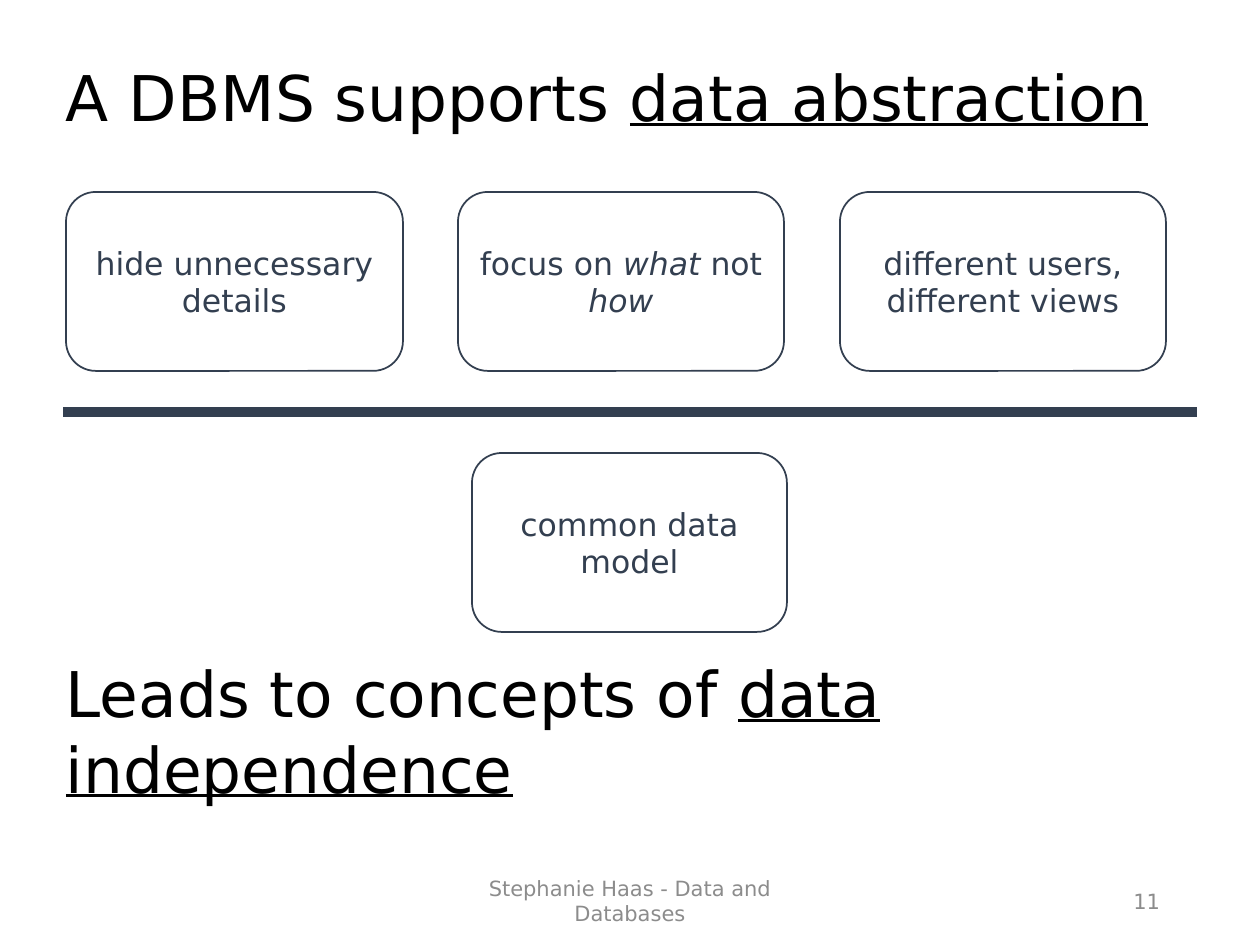
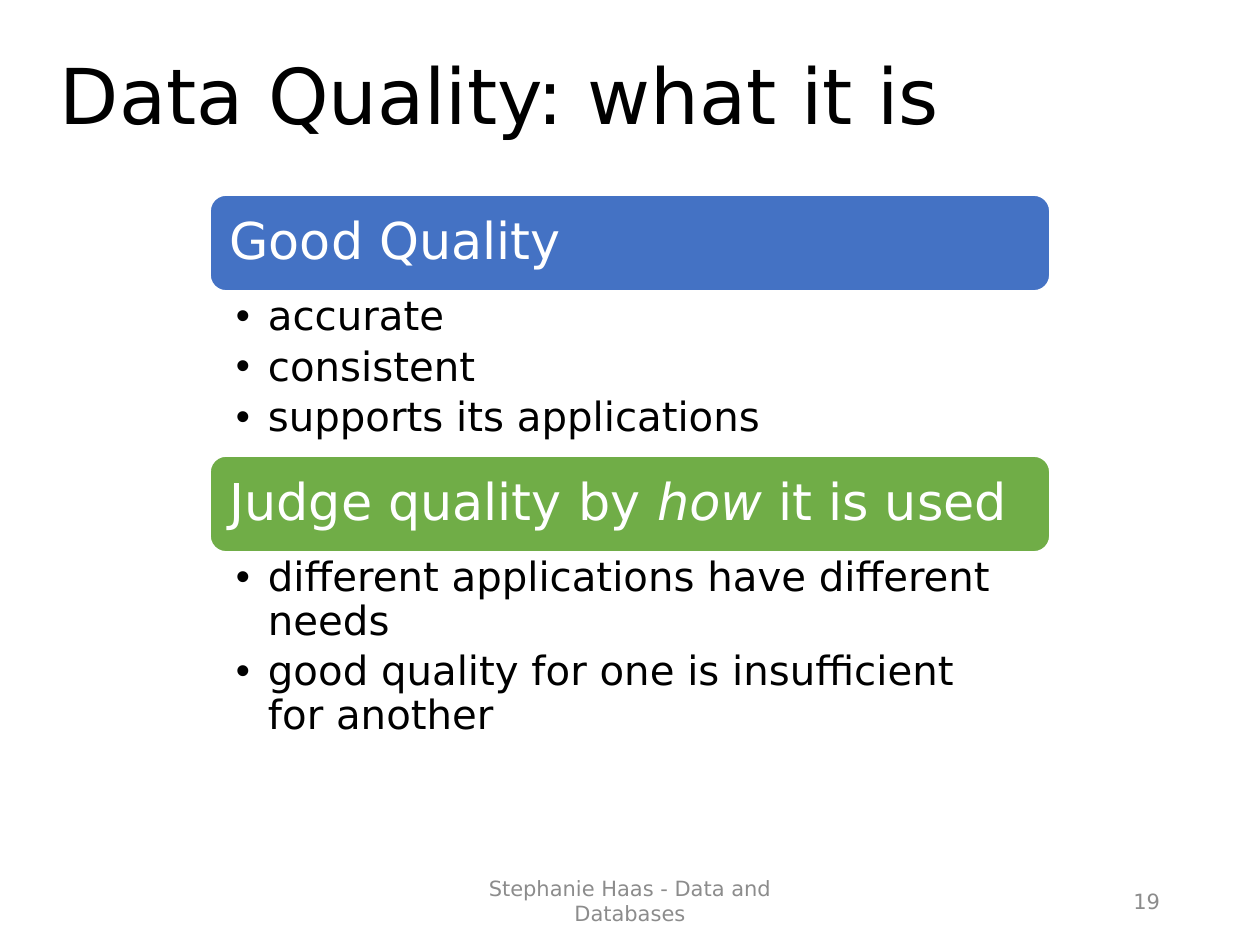
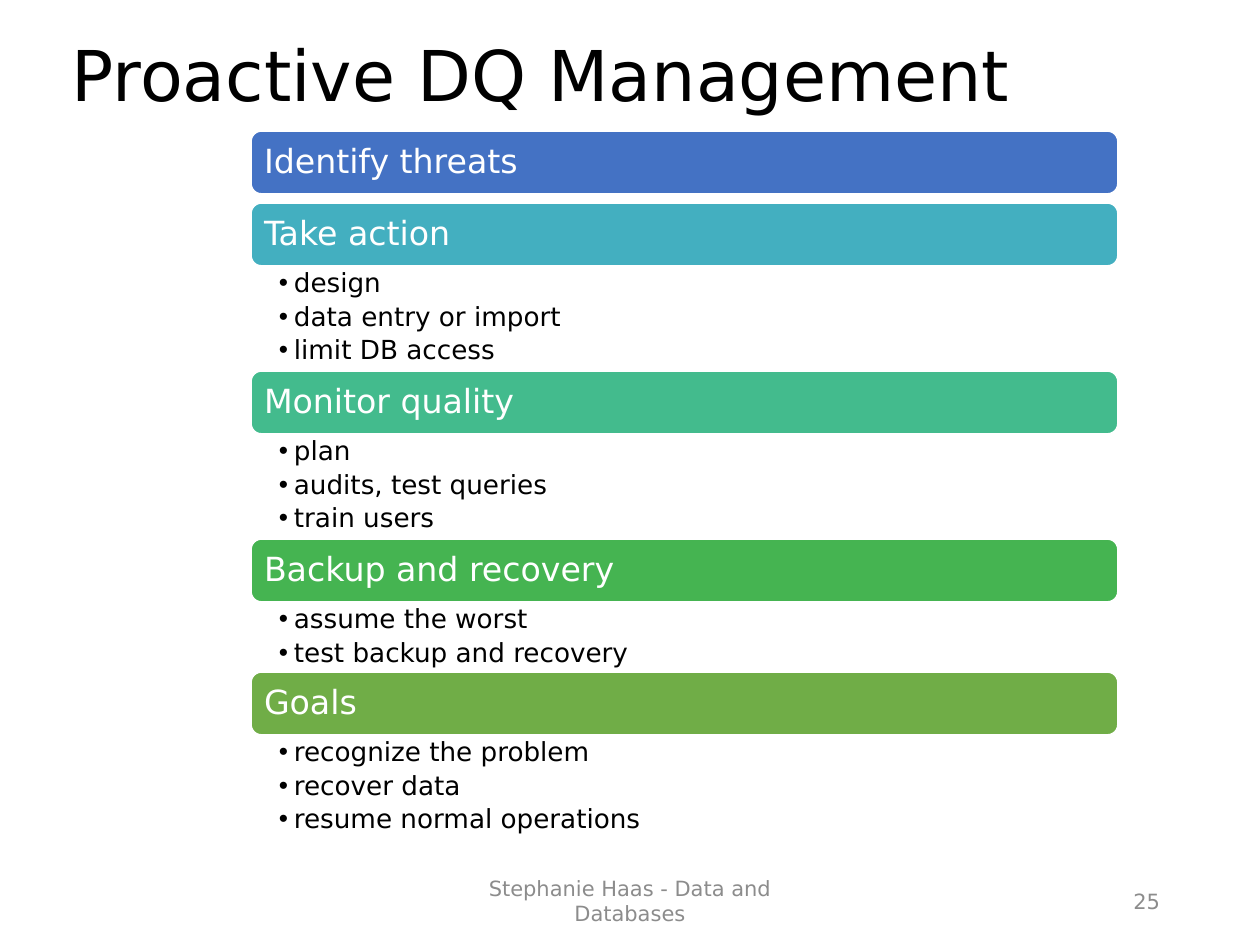
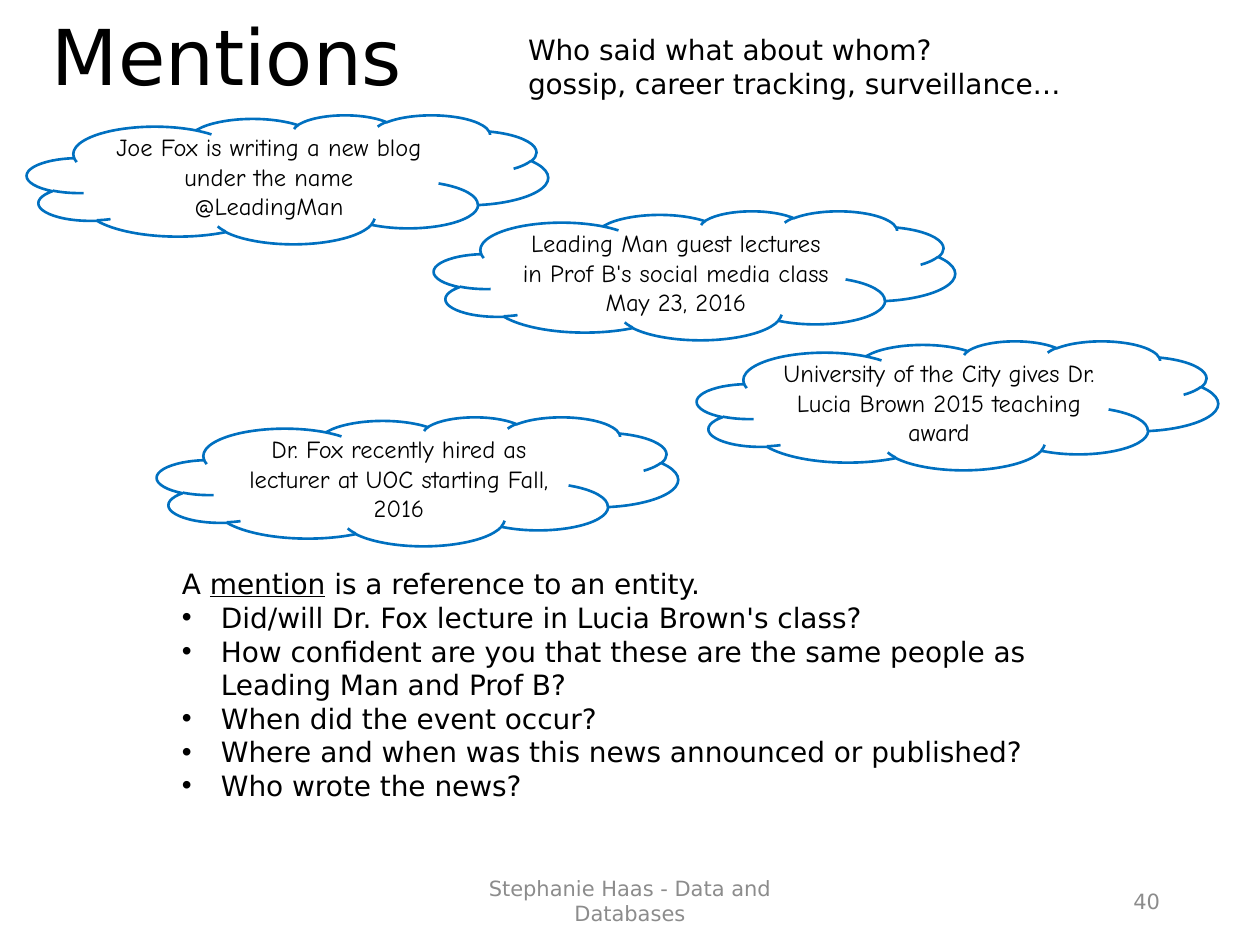
from lxml import etree
from pptx import Presentation
from pptx.dml.color import RGBColor
from pptx.enum.shapes import MSO_CONNECTOR, MSO_SHAPE
from pptx.enum.text import MSO_ANCHOR, MSO_AUTO_SIZE, PP_ALIGN
from pptx.oxml.ns import qn
from pptx.util import Emu, Pt

LEFT, CENTER, RIGHT = PP_ALIGN.LEFT, PP_ALIGN.CENTER, PP_ALIGN.RIGHT
TOP, MIDDLE = MSO_ANCHOR.TOP, MSO_ANCHOR.MIDDLE
NO_AUTOFIT = MSO_AUTO_SIZE.NONE
ROUNDED, CLOUD = MSO_SHAPE.ROUNDED_RECTANGLE, MSO_SHAPE.CLOUD
STRAIGHT = MSO_CONNECTOR.STRAIGHT

BLACK = RGBColor(0x00, 0x00, 0x00)
WHITE = RGBColor(0xFF, 0xFF, 0xFF)
GRAY = RGBColor(0x8C, 0x8C, 0x8C)
SLATE = RGBColor(0x33, 0x3F, 0x50)
SKY = RGBColor(0x00, 0x70, 0xC0)
BLUE = RGBColor(0x44, 0x72, 0xC4)
AQUA = RGBColor(0x43, 0xAF, 0xC0)
MINT = RGBColor(0x43, 0xBB, 0x8D)
GREEN = RGBColor(0x45, 0xB4, 0x51)
OLIVE = RGBColor(0x70, 0xAD, 0x47)

BODY_FONT = "DejaVu Sans"
CLOUD_FONT = "Comic Neue"
PX = 914400 / 126
FOOTER = "Stephanie Haas - Data and Databases"


def px(*lengths):
    return [Emu(round(length * PX)) for length in lengths]


def write(shape, text, size, color=BLACK, font=BODY_FONT, align=LEFT, anchor=MIDDLE,
          emphasis="underline", insets=(13, 6, 13, 6), spacing=None, after=None,
          indent=0, plain_lines=0):
    frame = shape.text_frame
    frame.word_wrap = True
    frame.auto_size = NO_AUTOFIT
    frame.vertical_anchor = anchor
    (frame.margin_left, frame.margin_top,
     frame.margin_right, frame.margin_bottom) = px(*insets)
    for number, line in enumerate(text.split("\n")):
        paragraph = frame.add_paragraph() if number else frame.paragraphs[0]
        paragraph.alignment = align
        if spacing:
            paragraph.line_spacing = spacing
        if after:
            paragraph.space_after = Pt(after)
        if indent and number >= plain_lines:
            properties = paragraph._p.get_or_add_pPr()
            hanging = px(indent)[0]
            properties.set("marL", str(hanging))
            properties.set("indent", str(-hanging))
            etree.SubElement(properties, qn("a:buFont")).set("typeface", "Arial")
            etree.SubElement(properties, qn("a:buChar")).set("char", "•")
        for part, words in enumerate(line.split("|")):
            if words:
                run = paragraph.add_run()
                run.text = words
                run.font.name = font
                run.font.size = Pt(size)
                run.font.color.rgb = color
                if part % 2:
                    setattr(run.font, emphasis, True)


prs = Presentation()
prs.slide_width, prs.slide_height = px(1260, 945)

slides = []
for heading, size, place, page in [
    ("A DBMS supports |data abstraction|", 36, (53, 50, 1121, 102), "11"),
    ("Data Quality: what it is", 44, (47, 29, 1086, 142), "19"),
    ("Proactive DQ Management", 40, (59, 20, 1086, 117), "25"),
    ("Mentions", 44, (39, 0, 1086, 121), "40"),
]:
    slide = prs.slides.add_slide(prs.slide_layouts[5])
    title = slide.shapes.title
    title.left, title.top, title.width, title.height = px(*place)
    write(title, heading, size, spacing=0.9)
    footer = slide.shapes.add_textbox(*px(417, 876, 426, 50))
    write(footer, FOOTER, 12, GRAY, align=CENTER)
    page_number = slide.shapes.add_textbox(*px(890, 876, 283, 50))
    write(page_number, page, 12, GRAY, align=RIGHT)
    slides.append(slide)

abstraction, quality, management, mentions = slides

OUTLINED = [
    (abstraction, ROUNDED, SLATE, 1, 18, BODY_FONT, 179, [
        ("hide unnecessary details", 66, 192, 337),
        ("focus on |what| not |how|", 458, 192, 326),
        ("different users, different views", 840, 192, 326),
        ("common data model", 472, 453, 315),
    ]),
    (mentions, CLOUD, SKY, 1.5, 14, CLOUD_FONT, 129, [
        ("Joe Fox is writing a new blog under the name @LeadingMan", 27, 115, 521),
        ("Leading Man guest lectures in Prof B's social media class May 23, 2016",
         434, 211, 521),
        ("University of the City gives Dr. Lucia Brown 2015 teaching award",
         697, 341, 521),
        ("Dr. Fox recently hired as lecturer at UOC starting Fall, 2016",
         157, 417, 521),
    ]),
]
for slide, outline, line_color, line_width, size, font, height, notions in OUTLINED:
    text_color = SLATE if slide is abstraction else BLACK
    for notion, left, top, width in notions:
        bubble = slide.shapes.add_shape(outline, *px(left, top, width, height))
        bubble.shadow.inherit = False
        bubble.fill.background()
        bubble.line.color.rgb = line_color
        bubble.line.width = Pt(line_width)
        write(bubble, notion, size, text_color, font, CENTER, emphasis="italic")

divider = abstraction.shapes.add_connector(STRAIGHT, *px(63, 412, 1197, 412))
divider.line.color.rgb = SLATE
divider.line.width = Pt(6)
etree.SubElement(divider._element.spPr, qn("a:effectLst"))
conclusion = abstraction.shapes.add_textbox(*px(53, 651, 1134, 158))
write(conclusion, "Leads to concepts of |data independence|", 36)

STACKS = [
    (quality, (210, 195, 840, 96), (29, 15), (23, (26, 5, 29, 5), 4, 32), [
        ("Good Quality", BLUE, "accurate\nconsistent\nsupports its applications", 165),
        ("Judge quality by |how| it is used", OLIVE,
         "different applications have different needs\n"
         "good quality for one is insufficient for another", 199),
    ]),
    (management, (251, 131, 867, 63), (19, 10), (15, (28, 4, 19, 4), 3, 15), [
        ("Identify threats", BLUE, "", 9),
        ("Take action", AQUA, "design\ndata entry or import\nlimit DB access", 105),
        ("Monitor quality", MINT, "plan\naudits, test queries\ntrain users", 105),
        ("Backup and recovery", GREEN, "assume the worst\ntest backup and recovery", 70),
        ("Goals", OLIVE,
         "recognize the problem\nrecover data\nresume normal operations", 105),
    ]),
]
for slide, band_place, band_text, point_text, topics in STACKS:
    left, top, width, band_height = band_place
    band_size, band_inset = band_text
    point_size, point_insets, point_gap, point_indent = point_text
    for topic, color, points, points_height in topics:
        band = slide.shapes.add_shape(ROUNDED, *px(left, top, width, band_height))
        band.shadow.inherit = False
        band.fill.solid()
        band.fill.fore_color.rgb = color
        band.line.color.rgb = WHITE
        band.line.width = Pt(1)
        write(band, topic, band_size, WHITE, emphasis="italic",
              insets=[band_inset] * 4, spacing=0.9)
        top += band_height
        if points:
            details = slide.shapes.add_textbox(*px(left, top, width, points_height))
            write(details, points, point_size, anchor=TOP, insets=point_insets,
                  spacing=0.9, after=point_gap, indent=point_indent)
        top += points_height

question = mentions.shapes.add_textbox(*px(515, 27, 573, 81))
write(question, "Who said what about whom?\ngossip, career tracking, surveillance…",
      16, anchor=TOP)
definition = mentions.shapes.add_textbox(*px(169, 561, 921, 251))
write(definition,
      "A |mention| is a reference to an entity.\n"
      "Did/will Dr. Fox lecture in Lucia Brown's class?\n"
      "How confident are you that these are the same people as Leading Man and Prof B?\n"
      "When did the event occur?\n"
      "Where and when was this news announced or published?\n"
      "Who wrote the news?",
      16, anchor=TOP, indent=39, plain_lines=1)

prs.save("out.pptx")
